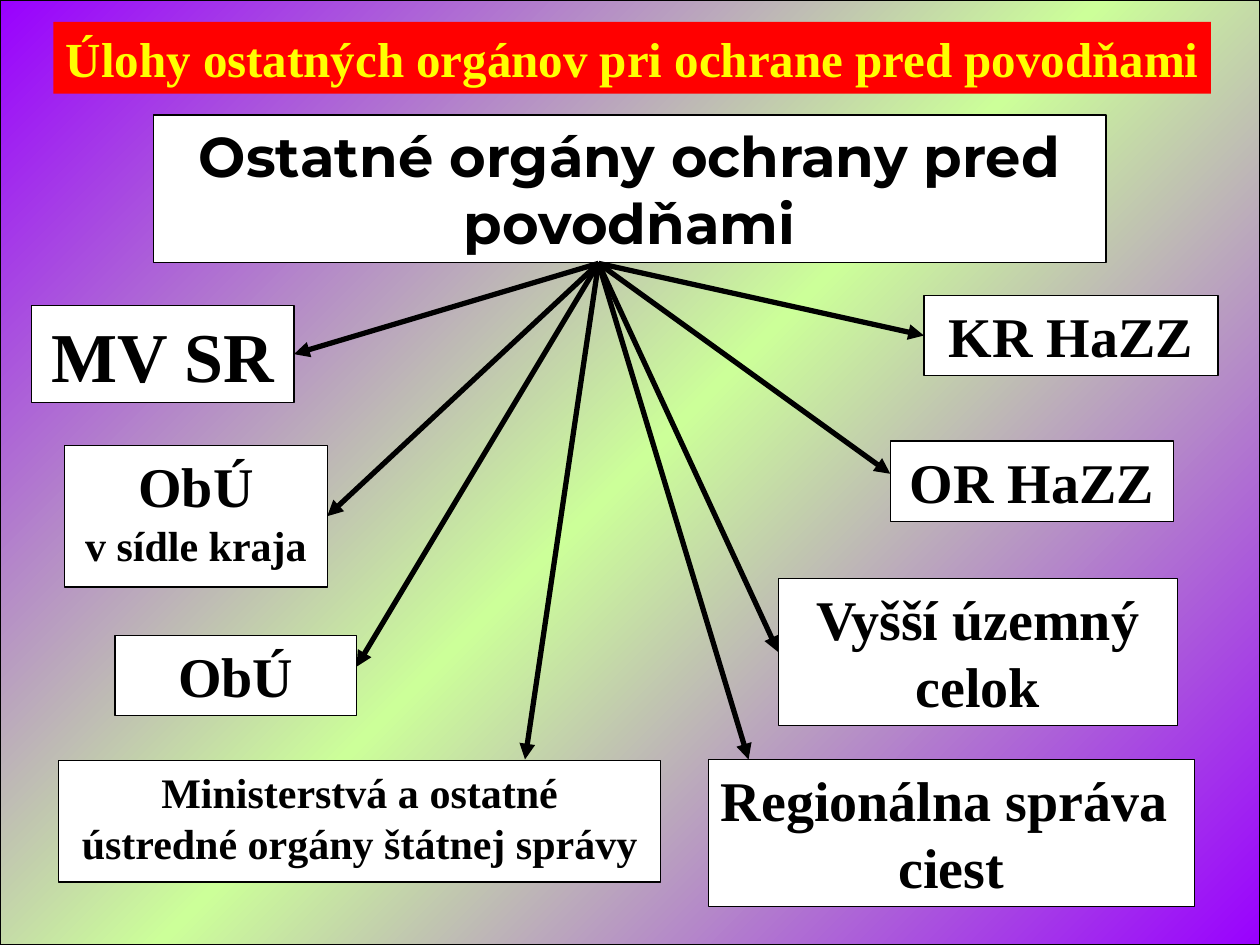
from copy import deepcopy

from lxml import etree
from pptx import Presentation
from pptx.dml.color import RGBColor
from pptx.enum import shapes, text
from pptx.oxml.ns import qn
from pptx.util import Pt

SERIF = "Times New Roman"


def color(value):
    return RGBColor.from_string(value)


def add_box(left, top, width, height, lines, font=SERIF, fill="FFFFFF",
            ink="000000", wrap=True, grow=True):
    """Draw a box; each line is (text, size, space before, line spacing)."""
    box = slide.shapes.add_shape(shapes.MSO_SHAPE.RECTANGLE, Pt(left), Pt(top),
                                 Pt(width), Pt(height))
    box.shadow.inherit = False
    box.fill.solid()
    box.fill.fore_color.rgb = color(fill)
    box.line.color.rgb = color("000000")
    box.line.width = Pt(0.75)
    frame = box.text_frame
    frame.word_wrap = wrap
    frame.vertical_anchor = text.MSO_ANCHOR.TOP
    frame.auto_size = (text.MSO_AUTO_SIZE.SHAPE_TO_FIT_TEXT if grow
                       else text.MSO_AUTO_SIZE.NONE)
    for i, (words, size, before, spacing) in enumerate(lines):
        paragraph = frame.add_paragraph() if i else frame.paragraphs[0]
        paragraph.text = words
        paragraph.alignment = text.PP_ALIGN.CENTER
        paragraph.space_before = Pt(before)
        paragraph.line_spacing = spacing
        paragraph.font.name = font
        paragraph.font.size = Pt(size)
        paragraph.font.bold = True
        paragraph.font.color.rgb = color(ink)
    return box


deck = Presentation()
deck.slide_width, deck.slide_height = Pt(720), Pt(540)
slide = deck.slides.add_slide(deck.slide_layouts[6])

# Diagonal gradient backdrop: violet, green, violet
backdrop = slide.shapes.add_shape(shapes.MSO_SHAPE.RECTANGLE, 0, 0,
                                  deck.slide_width, deck.slide_height)
backdrop.shadow.inherit = False
backdrop.line.color.rgb = color("000000")
backdrop.line.width = Pt(0.75)
backdrop.fill.gradient()
backdrop.fill.gradient_angle = 135
stop_list = next(backdrop.element.iter(qn("a:gsLst")))
stop_list.insert(1, deepcopy(stop_list[0]))
stops = ((0, "9900FF"), (0.5, "CCFF99"), (1, "9900FF"))
for stop, (position, shade) in zip(backdrop.fill.gradient_stops, stops):
    stop.position = position
    stop.color.rgb = color(shade)

# Slide heading and root of the diagram
heading = add_box(30.5, 12.5, 661.5, 41,
                  [("Úlohy ostatných orgánov pri ochrane pred povodňami", 28, 0, 1)],
                  fill="FF0000", ink="FFFF00", wrap=False)
heading.line.fill.background()
root = add_box(87.75, 65.75, 544.25, 84.25,
               [("Ostatné orgány ochrany pred povodňami", 32, 0, 1)],
               font="Montserrat")
root.text_frame.paragraphs[0].space_after = Pt(4)

# Authorities
ministry_of_interior = add_box(18, 174.75, 150, 55.25, [("MV SR", 40, 0, 1)])
regional_office = add_box(37, 254.5, 150, 81,
                          [("ObÚ", 32, 0, 1), ("v sídle kraja", 24, 15, 0.4)],
                          grow=False)
district_office = add_box(65.75, 363, 138, 46, [("ObÚ", 32, 0, 1)])
ministries = add_box(33.5, 434.5, 344, 69.5,
                     [("Ministerstvá a ostatné", 24, 0, 1),
                      ("ústredné orgány štátnej správy", 24, 15, 0.4)],
                     grow=False)
for two_line in (regional_office, ministries):
    two_line.text_frame.paragraphs[1].space_after = Pt(3)
regional_rescue = add_box(528, 168.75, 168, 46, [("KR HaZZ", 32, 0, 1)])
district_rescue = add_box(508.75, 252, 162, 46, [("OR HaZZ", 32, 0, 1)])
self_government = add_box(444.75, 330.5, 228, 84.25,
                          [("Vyšší územný celok", 32, 0, 1)])
road_authority = add_box(404.75, 434, 277.75, 84.25,
                         [("Regionálna správa ", 32, 0, 1), ("ciest", 32, 0, 1)],
                         wrap=False)

# Arrows from one point under the root: end x, end y, joined box, joined side
arrows = [
    (168, 204.5, ministry_of_interior, 3),
    (187, 294, regional_office, 3),
    (203.75, 381, None, None),
    (300, 434, None, None),
    (444.75, 373, self_government, 1),
    (508.75, 270.75, None, None),
    (528, 193, regional_rescue, 1),
    (427.75, 434, None, None),
]
for end_x, end_y, authority, side in arrows:
    arrow = slide.shapes.add_connector(shapes.MSO_CONNECTOR.STRAIGHT, Pt(342),
                                       Pt(150.5), Pt(end_x), Pt(end_y))
    if authority is not None:
        arrow.end_connect(authority, side)
    arrow.line.color.rgb = color("000000")
    arrow.line.width = Pt(3)
    etree.SubElement(arrow.line._get_or_add_ln(), qn("a:tailEnd"), type="triangle")
    etree.SubElement(arrow.element.spPr, qn("a:effectLst"))

deck.save("out.pptx")
